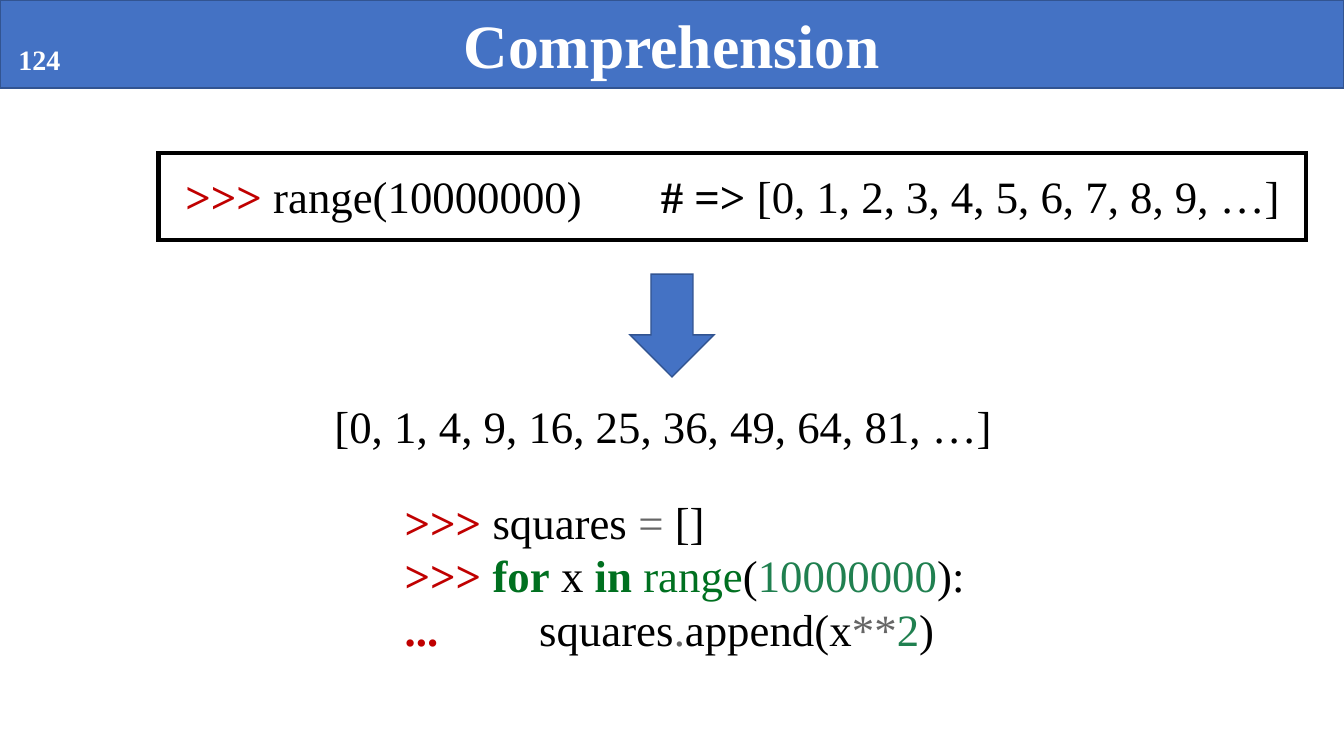
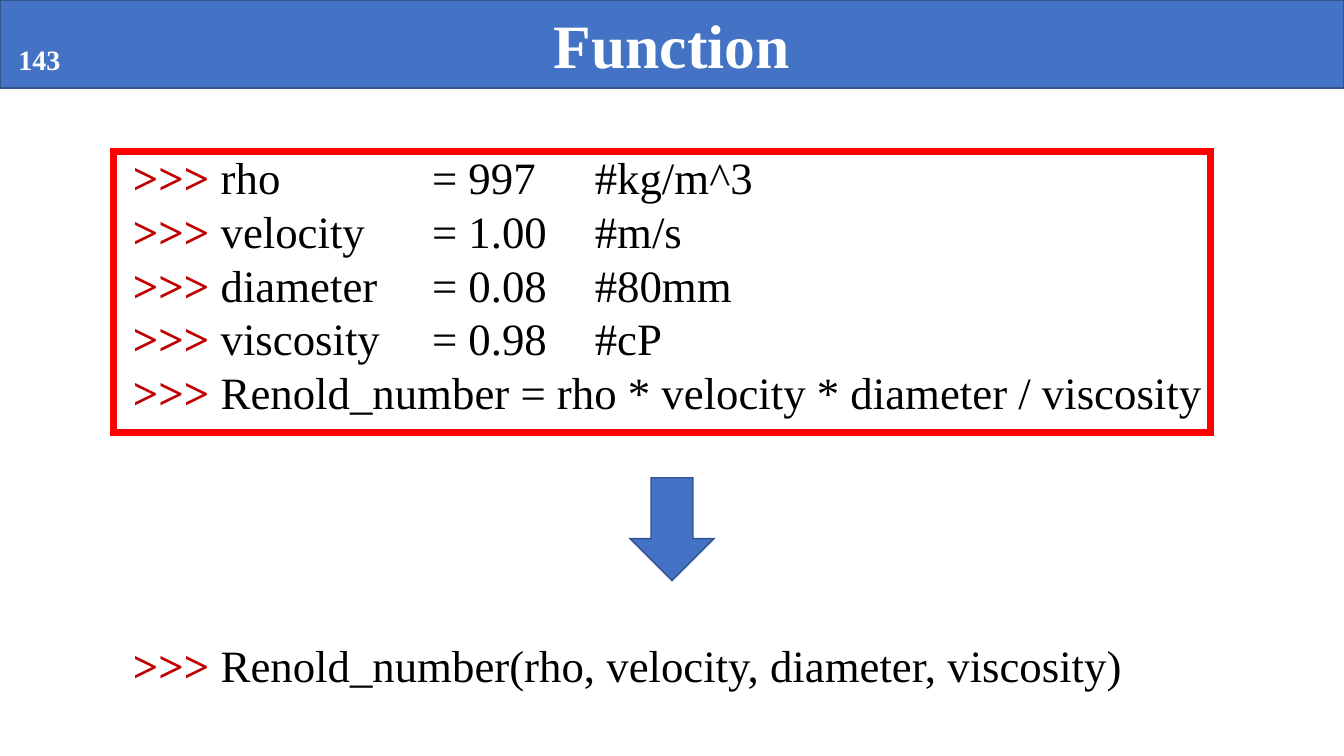
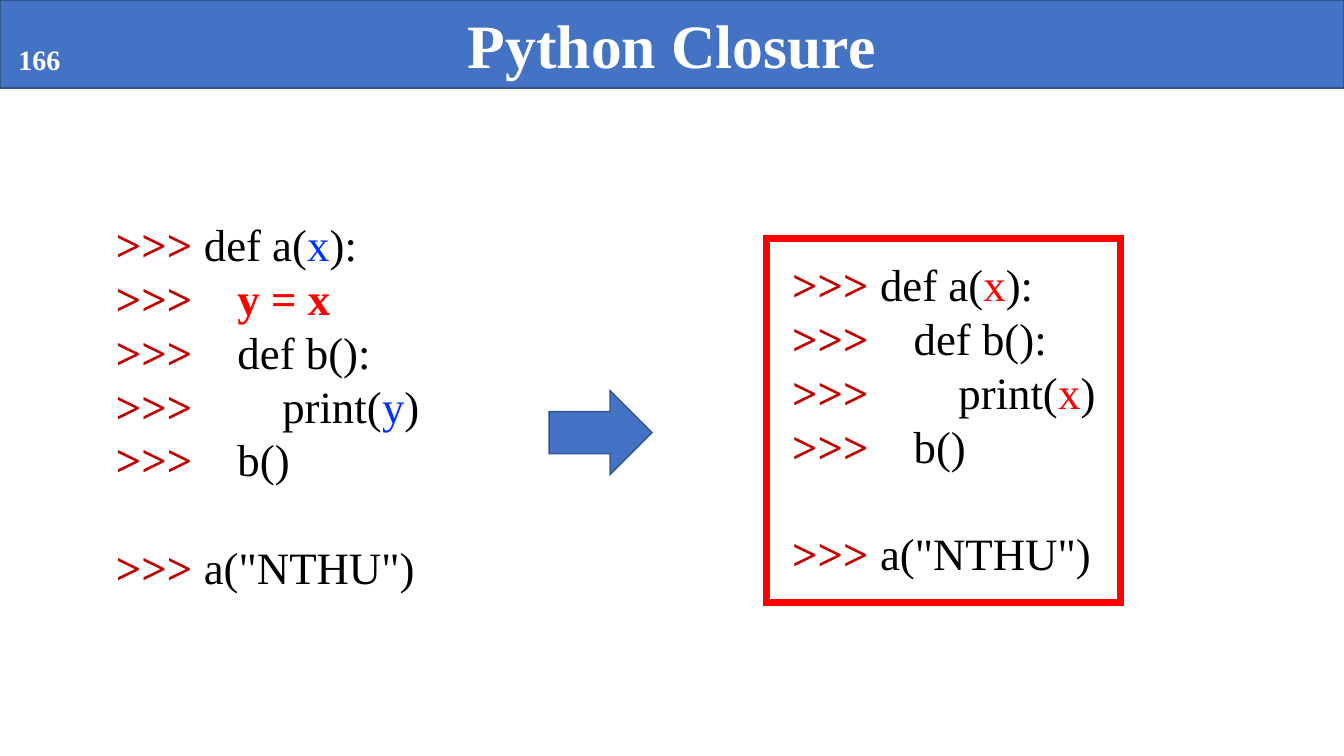
import lxml.etree
import pptx
import pptx.dml.color
import pptx.enum.shapes
import pptx.enum.text
import pptx.oxml.ns
import pptx.util

RGBColor = pptx.dml.color.RGBColor
MSO_SHAPE = pptx.enum.shapes.MSO_SHAPE
qn = pptx.oxml.ns.qn

WHITE = RGBColor(0xFF, 0xFF, 0xFF)
BLACK = RGBColor(0x00, 0x00, 0x00)
BAND_BLUE = RGBColor(0x44, 0x72, 0xC4)
EDGE_BLUE = RGBColor(0x32, 0x54, 0x91)
PROMPT_RED = RGBColor(0xC0, 0x00, 0x00)
BRIGHT_RED = RGBColor(0xFF, 0x00, 0x00)
NAME_BLUE = RGBColor(0x04, 0x32, 0xFF)
KEYWORD_GREEN = RGBColor(0x00, 0x70, 0x20)
NUMBER_GREEN = RGBColor(0x20, 0x80, 0x50)
OPERATOR_GREY = RGBColor(0x66, 0x66, 0x66)

SLIDE_WIDTH, SLIDE_HEIGHT = 1280, 720
BAND_HEIGHT = 84
ARROW_LENGTH, ARROW_BREADTH = 98, 80
LINE_HEIGHT = 61  # height of a one-line text box
FONT = "Times New Roman"
TITLE_SIZE, CODE_SIZE, NUMBER_SIZE = 44, 32, 20
BLANK_LINE = 38.5  # points

PROMPT = (">>> ", PROMPT_RED, True)


def px(length):
    return pptx.util.Emu(length * 9525)


class Deck:
    """Holds the shared style and the slide being built."""

    def __init__(self):
        self.presentation = pptx.Presentation()
        self.presentation.slide_width = px(SLIDE_WIDTH)
        self.presentation.slide_height = px(SLIDE_HEIGHT)
        self.slide = None

    def start_slide(self, title, number):
        layout = self.presentation.slide_layouts[6]
        self.slide = self.presentation.slides.add_slide(layout)
        band = self.shape(MSO_SHAPE.RECTANGLE, (0, 0, SLIDE_WIDTH, BAND_HEIGHT),
                          BAND_BLUE, EDGE_BLUE, 1)
        band.text_frame.vertical_anchor = pptx.enum.text.MSO_ANCHOR.MIDDLE
        paragraph = band.text_frame.paragraphs[0]
        paragraph.alignment = pptx.enum.text.PP_ALIGN.CENTER
        self.run(paragraph, (title, WHITE, True), TITLE_SIZE)
        self.text((8, 36, 80, 42), [[(number, WHITE, True)]], NUMBER_SIZE)

    def shape(self, kind, box, fill, edge, edge_width):
        shape = self.slide.shapes.add_shape(kind, *map(px, box))
        shape.shadow.inherit = False
        if fill is None:
            shape.fill.background()
        else:
            shape.fill.solid()
            shape.fill.fore_color.rgb = fill
        shape.line.color.rgb = edge
        shape.line.width = pptx.util.Pt(edge_width)
        outline = shape._element.spPr.find(qn("a:ln"))
        lxml.etree.SubElement(outline, qn("a:miter"), lim="800000")
        return shape

    def frame(self, box, color, width):
        self.shape(MSO_SHAPE.RECTANGLE, box, None, color, width)

    def down_arrow(self, top):
        left = (SLIDE_WIDTH - ARROW_BREADTH) // 2
        self.shape(MSO_SHAPE.DOWN_ARROW, (left, top, ARROW_BREADTH, ARROW_LENGTH),
                   BAND_BLUE, EDGE_BLUE, 1)

    def right_arrow(self, left, top):
        self.shape(MSO_SHAPE.RIGHT_ARROW, (left, top, ARROW_LENGTH, ARROW_BREADTH),
                   BAND_BLUE, EDGE_BLUE, 1)

    def run(self, paragraph, piece, size):
        """Add a plain string in black, or a (text, color, bold) piece."""
        text, color, bold = (piece, BLACK, False) if isinstance(piece, str) else piece
        run = paragraph.add_run()
        run.text = text
        run.font.name = FONT
        run.font.size = pptx.util.Pt(size)
        run.font.bold = bold
        run.font.color.rgb = color

    def text(self, box, lines, size=CODE_SIZE, tabs=(), gap_before_last=0):
        frame = self.slide.shapes.add_textbox(*map(px, box)).text_frame
        frame.word_wrap = True
        for index, line in enumerate(lines):
            paragraph = frame.add_paragraph() if index else frame.paragraphs[0]
            if tabs:
                self.tab_stops(paragraph, tabs)
            for piece in line:
                self.run(paragraph, piece, size)
        if gap_before_last:
            paragraph.space_before = pptx.util.Pt(gap_before_last)

    def tab_stops(self, paragraph, positions):
        properties = paragraph._p.get_or_add_pPr()
        stops = lxml.etree.SubElement(properties, qn("a:tabLst"))
        for position in positions:
            lxml.etree.SubElement(stops, qn("a:tab"), pos=str(px(position)), algn="l")


def comprehension_slide(deck):
    deck.start_slide("Comprehension", "124")
    deck.text((309, 375, 662, LINE_HEIGHT), [["[0, 1, 4, 9, 16, 25, 36, 49, 64, 81, …]"]])
    deck.text((620, 156, 624, LINE_HEIGHT),
              [[("# =>", BLACK, True), " [0, 1, 2, 3, 4, 5, 6, 7, 8, 9, …]"]])
    deck.text((167, 156, 400, LINE_HEIGHT), [[PROMPT, "range(10000000)"]])
    deck.text((376, 466, 568, 165), [
        [PROMPT, "squares ", ("=", OPERATOR_GREY, False), " []"],
        [PROMPT, ("for", KEYWORD_GREEN, True), " x ", ("in ", KEYWORD_GREEN, True),
         ("range", KEYWORD_GREEN, False), "(", ("10000000", NUMBER_GREEN, False), "):"],
        [("...", PROMPT_RED, True), "         squares", (".", OPERATOR_GREY, False),
         "append(x", ("**", OPERATOR_GREY, False), ("2", NUMBER_GREEN, False), ")"],
    ])
    deck.frame((151, 146, 1093, 83), BLACK, 3)
    deck.down_arrow(261)


def function_slide(deck):
    deck.start_slide("Function", "143")
    statements = [
        "rho\t= 997\t#kg/m^3",
        "velocity\t= 1.00\t#m/s",
        "diameter\t= 0.08\t#80mm",
        "viscosity\t= 0.98\t#cP",
        "Renold_number = rho * velocity * diameter / viscosity",
    ]
    deck.text((117, 138, 1045, 268), [[PROMPT, statement] for statement in statements],
              tabs=(285, 440))
    deck.text((117, 603, 1045, LINE_HEIGHT),
              [[PROMPT, "Renold_number(rho, velocity, diameter, viscosity)"]])
    deck.down_arrow(455)
    deck.frame((108, 144, 1045, 268), BRIGHT_RED, 5)


def closure_code(printed, color, assignment=()):
    """Lines of a nested function, with the captured names in one color."""
    return [
        [PROMPT, "def a(", ("x", color, False), "):"],
        *assignment,
        [PROMPT, "   def b():"],
        [PROMPT, "       print(", (printed, color, False), ")"],
        [PROMPT, "   b()"],
        [PROMPT, 'a("NTHU")'],
    ]


def closure_slide(deck):
    deck.start_slide("Python Closure", "166")
    assignment = [[PROMPT, ("   y = x", BRIGHT_RED, True)]]
    deck.text((101, 202, 377, 372), closure_code("y", NAME_BLUE, assignment),
              gap_before_last=BLANK_LINE)
    deck.text((745, 240, 377, 320), closure_code("x", BRIGHT_RED),
              gap_before_last=BLANK_LINE)
    deck.frame((730, 227, 337, 347), BRIGHT_RED, 5)
    deck.right_arrow(523, 372)


def main():
    deck = Deck()
    comprehension_slide(deck)
    function_slide(deck)
    closure_slide(deck)
    deck.presentation.save("out.pptx")


if __name__ == "__main__":
    main()
